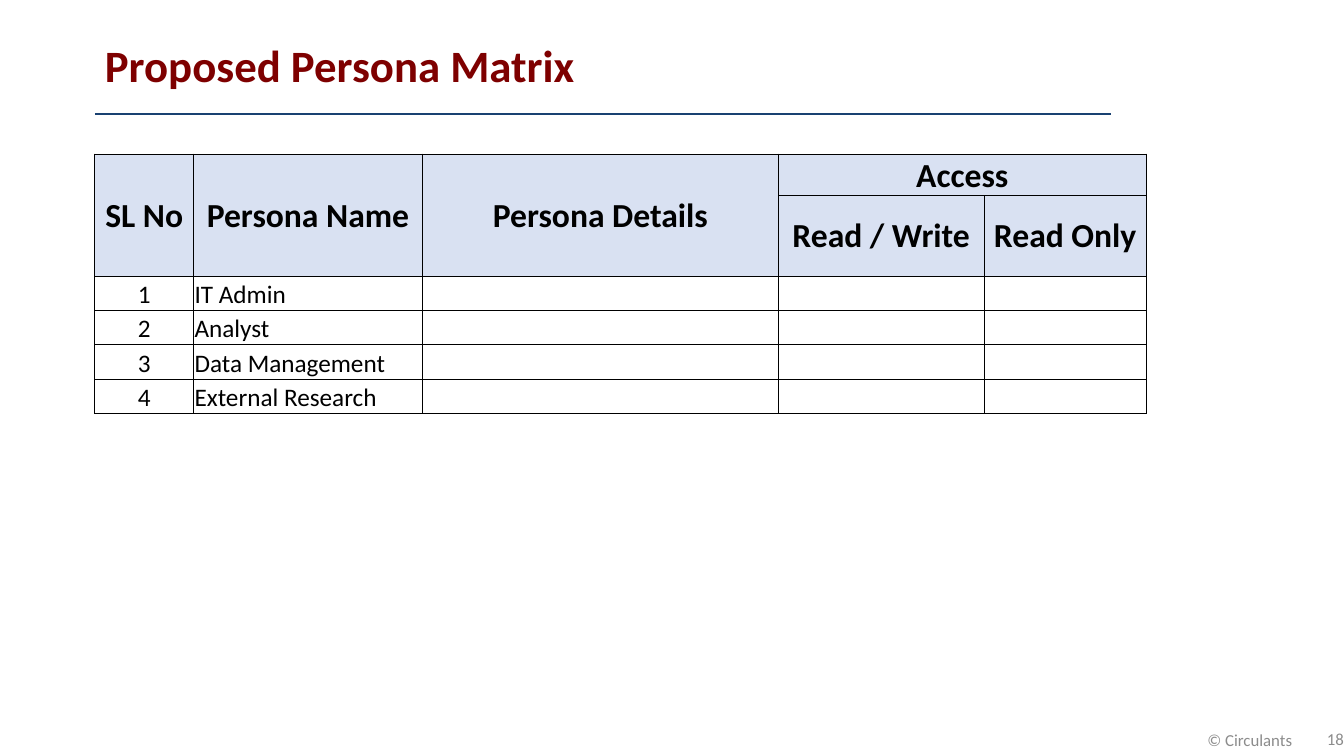
import pptx
import pptx.util
import pptx.dml.color
import pptx.enum.shapes
import pptx.enum.text
import pptx.oxml
import pptx.oxml.ns

Inches = pptx.util.Inches
Pt = pptx.util.Pt
ANCHOR = pptx.enum.text.MSO_ANCHOR
ALIGN = pptx.enum.text.PP_ALIGN


def style_text(p, text, size, color, bold=False, align=ALIGN.LEFT):
    p.alignment = align
    r = p.add_run()
    r.text = text
    for name, value in {"name": "Calibri", "size": Pt(size), "bold": bold}.items():
        setattr(r.font, name, value)
    r.font.color.rgb = pptx.dml.color.RGBColor.from_string(color)


def add_border(cell, side, width):
    """Draw one black side (L, R, T or B) of a table cell, width in points."""
    ln = pptx.oxml.parse_xml(
        f'<a:ln{side} {pptx.oxml.ns.nsdecls("a")} w="{Pt(width)}">'
        '<a:solidFill><a:srgbClr val="000000"/></a:solidFill>'
        f'</a:ln{side}>')
    cell._tc.get_or_add_tcPr().append(ln)


prs = pptx.Presentation()
prs.slide_width = Inches(13.33)
prs.slide_height = Inches(7.5)
s = prs.slides.add_slide(prs.slide_layouts[5])

# Title and rule
title = s.shapes.title
for name, value in {"left": 0.94, "top": 0.32, "width": 7.89, "height": 0.64}.items():
    setattr(title, name, Inches(value))
tf = title.text_frame
tf.vertical_anchor = ANCHOR.TOP
style_text(tf.paragraphs[0], "Proposed Persona Matrix", 32, "7E0000", bold=True)

rule = s.shapes.add_connector(pptx.enum.shapes.MSO_CONNECTOR.STRAIGHT,
                              Inches(0.94), Inches(1.13), Inches(11.02), Inches(1.13))
rule.line.width = Pt(1)
rule.line.color.rgb = pptx.dml.color.RGBColor.from_string("194171")
rule._element.spPr.append(
    pptx.oxml.parse_xml(f'<a:effectLst {pptx.oxml.ns.nsdecls("a")}/>'))

# Footer
footer = [
    ("© Circulants", (11.72, 7.18, 1.35, 0.31), ALIGN.CENTER),
    ("18", (12.9, 7.22, 0.43, 0.22), ALIGN.RIGHT),
]
for text, box, align in footer:
    tf = s.shapes.add_textbox(*map(Inches, box)).text_frame
    tf.word_wrap = True
    tf.vertical_anchor = ANCHOR.MIDDLE
    # The page number sits flush with the slide edge
    if align == ALIGN.RIGHT:
        tf.margin_left = tf.margin_right = 0
    style_text(tf.paragraphs[0], text, 12, "8C8C8C", align=align)

# Persona table
col_widths = [0.98, 2.27, 3.53, 2.04, 1.61]
row_heights = [0.41, 0.8] + [0.34] * 4
personas = ["IT Admin", "Analyst", "Data Management", "External Research"]
rows = [
    ["SL No", "Persona Name", "Persona Details", "Access", ""],
    ["", "", "", "Read / Write", "Read Only"],
]
rows += [[str(i), persona, "", "", ""] for i, persona in enumerate(personas, 1)]
last_row, last_col = len(rows) - 1, len(col_widths) - 1

table = s.shapes.add_table(len(rows), len(col_widths), Inches(0.94), Inches(1.53),
                           Inches(sum(col_widths)), Inches(sum(row_heights))).table
for col, width in zip(table.columns, col_widths):
    col.width = Inches(width)
for row, height in zip(table.rows, row_heights):
    row.height = Inches(height)

for i, row in enumerate(rows):
    for j, text in enumerate(row):
        cell = table.cell(i, j)
        header = i < 2
        margins = {"margin_left": 0.01, "margin_right": 0.01,
                   "margin_top": 0.01, "margin_bottom": 0}
        for name, value in margins.items():
            setattr(cell, name, Inches(value))
        cell.vertical_anchor = ANCHOR.MIDDLE if header else ANCHOR.BOTTOM

        outer = {"L": j == 0, "R": j == last_col, "T": i == 0, "B": False}
        for side, thick in outer.items():
            add_border(cell, side, 1 if thick else 0.5)
        if header:
            cell.fill.solid()
            cell.fill.fore_color.rgb = pptx.dml.color.RGBColor.from_string("D9E1F2")
        else:
            cell.fill.background()

        p = cell.text_frame.paragraphs[0]
        if text:
            align = ALIGN.CENTER if header or j == 0 else ALIGN.LEFT
            style_text(p, text, 24 if header else 18, "000000", header, align)
        else:
            # Keeps empty cells from stretching their row
            p._p.append(pptx.oxml.parse_xml(
                f'<a:endParaRPr {pptx.oxml.ns.nsdecls("a")} sz="1200"/>'))

for j in range(3):
    table.cell(0, j).merge(table.cell(1, j))
table.cell(0, 3).merge(table.cell(0, last_col))

prs.save("out.pptx")
